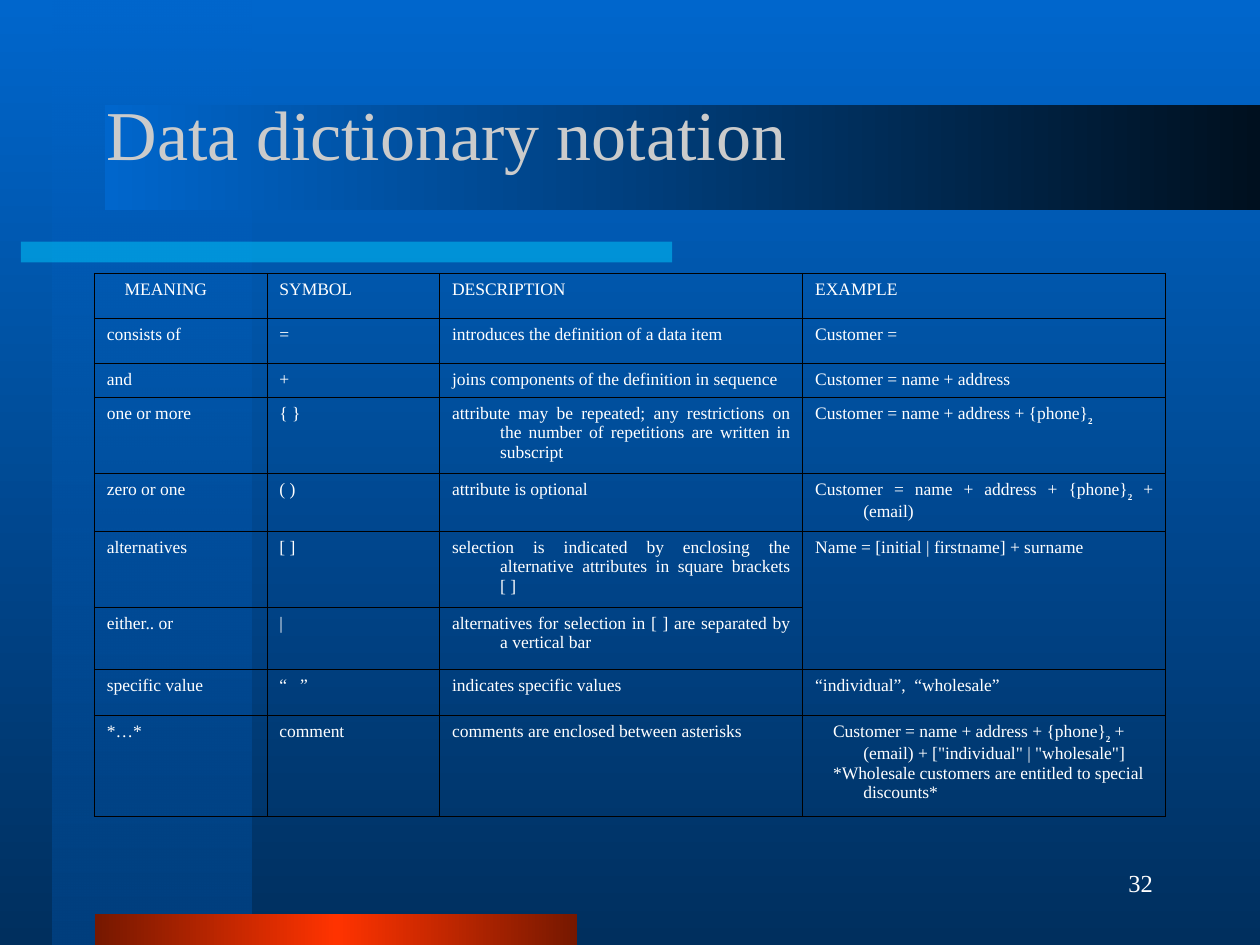
from lxml import etree
from pptx import Presentation
from pptx import util as u
from pptx.dml.color import RGBColor
from pptx.enum import shapes, text
from pptx.oxml.ns import qn

FONT = "Times New Roman"
BLUE = RGBColor(0x00, 0x66, 0xCC)
NAVY = RGBColor(0x00, 0x2F, 0x5E)
BAND = RGBColor(0x00, 0x3F, 0x7E)
NIGHT = RGBColor(0x00, 0x10, 0x1F)
CYAN = RGBColor(0x00, 0xCC, 0xFF)
MAROON = RGBColor(0x76, 0x18, 0x00)
RED = RGBColor(0xFF, 0x33, 0x00)
GREY = RGBColor(0xCB, 0xCB, 0xCB)
WHITE = RGBColor(0xFF, 0xFF, 0xFF)
BLACK = RGBColor(0x00, 0x00, 0x00)

COLS = [3.48, 3.48, 7.32, 7.32]
ROWS = [
    (0.91, "MEANING", "SYMBOL", "DESCRIPTION", "EXAMPLE"),
    (0.91, "consists of", "=", "introduces the definition of a data item", "Customer ="),
    (0.69, "and", "+", "joins components of the definition in sequence",
     "Customer = name + address"),
    (1.53, "one or more", "{ }",
     "attribute may be repeated; any restrictions on the number of repetitions "
     "are written in subscript", "Customer = name + address + {phone}_2"),
    (1.17, "zero or one", "( )", "attribute is optional",
     "Customer = name + address + {phone}_2 + (email)"),
    (1.53, "alternatives", "[ ]",
     "selection is indicated by enclosing the alternative attributes in square brackets [ ]",
     "Name = [initial | firstname] + surname"),
    (1.25, "either.. or", "|",
     "alternatives for selection in [ ] are separated by a vertical bar", ""),
    (0.93, "specific value", "“   ”", "indicates specific values",
     "“individual”,  “wholesale”"),
    (2.02, "*…*", "comment", "comments are enclosed between asterisks",
     'Customer = name + address + {phone}_2 + (email) + ["individual" | "wholesale"]\n'
     "*Wholesale customers are entitled to special discounts*"),
]
LEFT_ALIGNED = {(0, 0), (8, 3)}


def set_attrs(obj, **values):
    for name, value in values.items():
        setattr(obj, name, value)


def set_font(font, size, color, bold=False):
    set_attrs(font, name=FONT, size=u.Pt(size), bold=bold)
    font.color.rgb = color


def set_alpha(clr, percent):
    etree.SubElement(clr, qn("a:alpha")).set("val", str(percent * 1000))


def set_gradient(fill, owner, stops, angle):
    fill.gradient()
    fill.gradient_angle = angle
    gs_lst = owner.find(".//" + qn("a:gsLst"))
    for gs in list(gs_lst):
        gs_lst.remove(gs)
    for pos, color, alpha in stops:
        gs = etree.SubElement(gs_lst, qn("a:gs"), pos=str(pos * 1000))
        clr = etree.SubElement(gs, qn("a:srgbClr"), val=str(color))
        if alpha < 100:
            set_alpha(clr, alpha)


def add_bar(s, box):
    sp = s.shapes.add_shape(shapes.MSO_SHAPE.RECTANGLE, *map(u.Cm, box))
    sp.shadow.inherit = False
    sp.line.fill.background()
    return sp


def add_backdrop(s):
    set_gradient(s.background.fill, s._element, [(0, BLUE, 100), (100, NAVY, 100)], 270)
    bars = [
        ((1.06, 0, 4.02, 19.05), [(0, BLUE, 50), (100, BAND, 100)], 270),
        ((1.92, 18.42, 9.72, 0.63),
         [(0, MAROON, 100), (50, RED, 100), (100, MAROON, 100)], 0),
        ((2.12, 2.12, 23.28, 2.11), [(0, BLUE, 100), (100, NIGHT, 100)], 0),
    ]
    for box, stops, angle in bars:
        sp = add_bar(s, box)
        set_gradient(sp.fill, sp._element, stops, angle)
    rule = add_bar(s, (0.42, 4.87, 13.13, 0.42))
    rule.fill.solid()
    rule.fill.fore_color.rgb = CYAN
    set_alpha(rule._element.spPr.find(".//" + qn("a:srgbClr")), 50)


def add_title(s, box):
    sp = s.shapes.title
    s.shapes._spTree.append(sp._element)
    left, top, width, height = map(u.Cm, box)
    set_attrs(sp, left=left, top=top, width=width, height=height)
    tf = sp.text_frame
    set_attrs(tf, auto_size=text.MSO_AUTO_SIZE.NONE, word_wrap=True,
              vertical_anchor=text.MSO_ANCHOR.MIDDLE)
    p = tf.paragraphs[0]
    p.text = "Data dictionary notation\v"
    p.alignment = text.PP_ALIGN.LEFT
    set_font(p.font, 40, GREY)
    for r in p.runs:
        set_font(r.font, 40, GREY)
    for br in p._p.findall(qn("a:br")):
        etree.SubElement(br, qn("a:rPr"), sz="4000")


def add_page_number(s, box):
    tf = s.shapes.add_textbox(*map(u.Cm, box)).text_frame
    set_attrs(tf, word_wrap=True, vertical_anchor=text.MSO_ANCHOR.MIDDLE)
    p = tf.paragraphs[0]
    p.alignment = text.PP_ALIGN.RIGHT
    r = p.add_run()
    r.text = "32"
    set_font(r.font, 14, WHITE)


def fill_cell(cell, content, left_aligned):
    cell.fill.background()
    tc_pr = cell._tc.get_or_add_tcPr()
    for i, side in enumerate("LRTB"):
        ln = etree.Element(qn("a:ln" + side), w=str(u.Pt(0.45)))
        solid = etree.SubElement(ln, qn("a:solidFill"))
        etree.SubElement(solid, qn("a:srgbClr"), val=str(BLACK))
        tc_pr.insert(i, ln)
    tf = cell.text_frame
    for i, line in enumerate(content.split("\n")):
        p = tf.add_paragraph() if i else tf.paragraphs[0]
        p.alignment = text.PP_ALIGN.LEFT if left_aligned else text.PP_ALIGN.JUSTIFY
        p_pr = p._p.get_or_add_pPr()
        p_pr.set("marL", str(u.Cm(0.97)))
        p_pr.set("indent", str(u.Cm(-0.61 if left_aligned else -0.97)))
        set_font(p.font, 10, WHITE)
        before, mark, after = line.partition("_2")
        for part, is_sub in ((before, False), (mark[1:], True), (after, False)):
            if part:
                r = p.add_run()
                r.text = part
                set_font(r.font, 9 if is_sub else 10, WHITE, is_sub)
                if is_sub:
                    r.font._element.set("baseline", "-30000")


def add_notation_table(s, left, top):
    heights = [row[0] for row in ROWS]
    size = (left, top, sum(COLS), sum(heights))
    tbl = s.shapes.add_table(len(ROWS), len(COLS), *map(u.Cm, size)).table
    set_attrs(tbl, first_row=False, horz_banding=False)
    for col, width in zip(tbl.columns, COLS):
        col.width = u.Cm(width)
    for i, (height, *contents) in enumerate(ROWS):
        tbl.rows[i].height = u.Cm(height)
        for j, content in enumerate(contents):
            fill_cell(tbl.cell(i, j), content, (i, j) in LEFT_ALIGNED)
    tbl.cell(5, 3).merge(tbl.cell(6, 3))


def main():
    prs = Presentation()
    set_attrs(prs, slide_width=u.Cm(25.4), slide_height=u.Cm(19.05))
    s = prs.slides.add_slide(prs.slide_layouts[5])
    add_backdrop(s)
    add_page_number(s, (18.21, 17.15, 5.28, 1.27))
    add_title(s, (1.9, 2.51, 23.5, 2.01))
    add_notation_table(s, 1.9, 5.51)
    prs.save("out.pptx")


if __name__ == "__main__":
    main()
